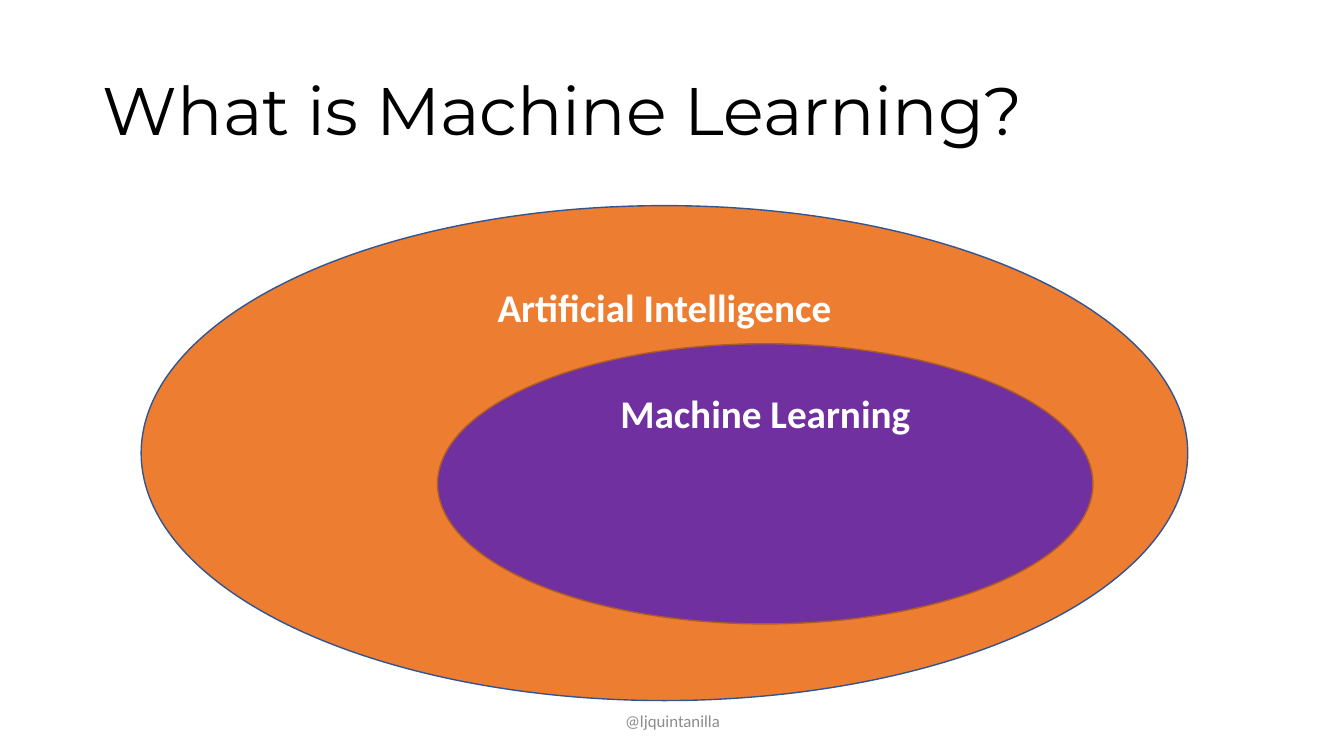
from dataclasses import dataclass

from pptx import Presentation
from pptx.dml.color import RGBColor
from pptx.enum.shapes import MSO_SHAPE
from pptx.enum.text import MSO_ANCHOR, PP_ALIGN
from pptx.util import Pt

TITLE = ("What is Machine Learning?", (92, 40, 1150, 145))
FOOTER = ("@ljquintanilla", (442, 695, 450, 40))
FIELDS = [
    ("Artificial Intelligence", (140, 204, 1038, 491), "ED7D31", "325491"),
    ("Machine Learning", (434, 341, 650, 278), "7030A0", "AF5C24"),
]
PAGE_SIZE = (1333, 750)
EMU_PER_PX = 9144


@dataclass(frozen=True)
class Theme:
    title_font: str = "Montserrat"
    body_font: str = "Calibri"
    title_size: int = 48
    label_size: int = 28
    footer_size: int = 12
    title_color: str = "000000"
    label_color: str = "FFFFFF"
    footer_color: str = "8C8C8C"


THEME = Theme()


def to_emu(lengths):
    return [length * EMU_PER_PX for length in lengths]


def write(box, text, font, size, color, align, anchor, bold=False):
    frame = box.text_frame
    frame.text = text
    frame.word_wrap = True
    frame.vertical_anchor = anchor
    para = frame.paragraphs[0]
    para.alignment = align
    for span in para.runs:
        span.font.name = font
        span.font.size = Pt(size)
        span.font.bold = bold
        span.font.color.rgb = RGBColor.from_string(color)
    return para


def add_title(page):
    text, place = TITLE
    box = page.shapes.title
    box.left, box.top, box.width, box.height = to_emu(place)
    para = write(box, text, THEME.title_font, THEME.title_size,
                 THEME.title_color, PP_ALIGN.LEFT, MSO_ANCHOR.MIDDLE)
    para.line_spacing = 0.9


def add_footer(page):
    text, place = FOOTER
    box = page.shapes.add_textbox(*to_emu(place))
    write(box, text, THEME.body_font, THEME.footer_size,
          THEME.footer_color, PP_ALIGN.CENTER, MSO_ANCHOR.MIDDLE)


def add_field(page, label, place, fill, line):
    ellipse = page.shapes.add_shape(MSO_SHAPE.OVAL, *to_emu(place))
    ellipse.shadow.inherit = False
    ellipse.fill.solid()
    ellipse.fill.fore_color.rgb = RGBColor.from_string(fill)
    ellipse.line.color.rgb = RGBColor.from_string(line)
    ellipse.line.width = Pt(1)
    write(ellipse, label, THEME.body_font, THEME.label_size,
          THEME.label_color, PP_ALIGN.CENTER, MSO_ANCHOR.TOP, bold=True)


def main():
    deck = Presentation()
    deck.slide_width, deck.slide_height = to_emu(PAGE_SIZE)
    page = deck.slides.add_slide(deck.slide_layouts[5])
    add_title(page)
    add_footer(page)
    for field in FIELDS:
        add_field(page, *field)
    deck.save("out.pptx")


if __name__ == "__main__":
    main()
